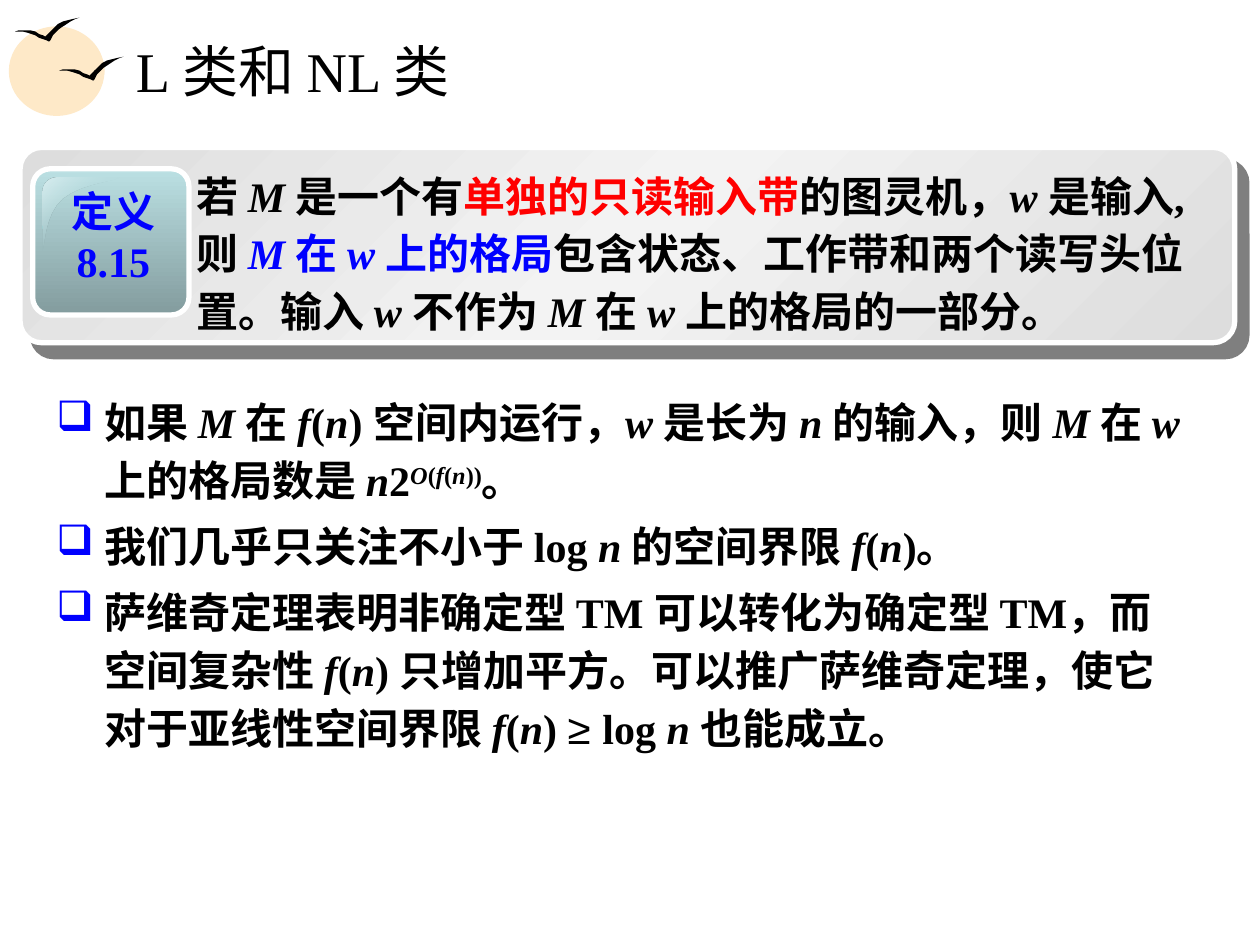
"""Build a slide defining Turing machine configurations for the classes L and NL."""
from dataclasses import dataclass

from lxml import etree
from pptx import Presentation
from pptx.dml.color import RGBColor
from pptx.enum.shapes import MSO_SHAPE
from pptx.enum.text import MSO_ANCHOR, PP_ALIGN
from pptx.oxml.ns import qn
from pptx.util import Inches, Pt

OVAL = MSO_SHAPE.OVAL
ROUNDED = MSO_SHAPE.ROUNDED_RECTANGLE
TOP, MIDDLE = MSO_ANCHOR.TOP, MSO_ANCHOR.MIDDLE
LEFT, CENTER = PP_ALIGN.LEFT, PP_ALIGN.CENTER


@dataclass(frozen=True)
class Theme:
    ink: str = "000000"
    red: str = "FF0000"
    blue: str = "0000FF"
    white: str = "FFFFFF"
    sun: str = "FEE9C8"
    panel_edge: str = "DDDDDD"
    panel_middle: str = "F3F3F3"
    badge_top: str = "BBE0E3"
    badge_bottom: str = "839C9E"
    shine: str = "DAEEF0"
    serif: str = "Times New Roman"
    sans: str = "Arial"
    title_size: int = 32
    body_size: int = 24


THEME = Theme()


def fill_gradient(shape, angle, stops):
    shape.fill.gradient()
    shape.fill.gradient_angle = 360 - angle
    stop_list = shape._element.spPr.find(f".//{qn('a:gsLst')}")
    for old_stop in list(stop_list):
        stop_list.remove(old_stop)
    for position, color, alpha in stops:
        stop = etree.SubElement(stop_list, qn("a:gs"), pos=str(position * 1000))
        tint = etree.SubElement(stop, qn("a:srgbClr"), val=color)
        if alpha < 100:
            etree.SubElement(tint, qn("a:alpha"), val=str(alpha * 1000))


def write_passages(paragraph, passages, size, color, bold):
    paragraph.font.name = THEME.serif
    paragraph.font.size = Pt(size)
    paragraph.font.bold = bold
    paragraph.font.color.rgb = RGBColor.from_string(color)
    for style, marked_text in passages:
        for index, piece in enumerate(marked_text.split("*")):
            if not piece:
                continue
            run = paragraph.add_run()
            run.text = piece
            if index % 2:
                run.font.italic = True
            if style in ("red", "blue"):
                run.font.color.rgb = RGBColor.from_string(getattr(THEME, style))
            elif style == "superscript":
                run.font._element.set("baseline", "30000")
            elif style == "symbol":
                run.font.name = THEME.sans
                run.font.bold = False


prs = Presentation()
prs.slide_width, prs.slide_height = Inches(10), Inches(7.5)
slide = prs.slides.add_slide(prs.slide_layouts[6])
shapes = slide.shapes

for left, top, width, height in [(0.07, 0.21, 0.76, 0.71), (0.2, 0.28, 0.63, 0.55)]:
    sun = shapes.add_shape(OVAL, Inches(left), Inches(top), Inches(width), Inches(height))
    sun.shadow.inherit = False
    sun.fill.solid()
    sun.fill.fore_color.rgb = RGBColor.from_string(THEME.sun)
    sun.line.fill.background()

gull_outline = [
    (0, 11), (3, 10), (6, 10), (9, 10), (12, 10), (16, 11), (19, 13), (22, 14),
    (24, 15), (26, 13), (28, 11), (31, 8), (34, 5), (38, 3), (42, 2), (46, 1),
    (51, 0), (48, 1), (44, 3), (41, 5), (38, 7), (35, 9), (32, 12), (30, 14),
    (28, 18), (27, 19), (25, 18), (22, 17), (19, 16), (16, 14), (13, 13),
    (10, 12), (6, 11), (3, 11),
]
for left, top in [(0.47, 0.45), (0.12, 0.14)]:
    points = [(Inches(left + x / 100), Inches(top + y / 100)) for x, y in gull_outline]
    builder = shapes.build_freeform(*points[0])
    builder.add_line_segments(points[1:])
    gull = builder.convert_to_shape()
    gull.shadow.inherit = False
    gull.fill.solid()
    gull.fill.fore_color.rgb = RGBColor.from_string(THEME.ink)
    gull.line.fill.background()

panel_stops = [(0, THEME.panel_edge, 100), (50, THEME.panel_middle, 100),
               (100, THEME.panel_edge, 100)]
badge_stops = [(0, THEME.badge_top, 100), (100, THEME.badge_bottom, 100)]
cards = [
    (0.16, 1.17, 9.64, 1.55, 0.11, 45, panel_stops, True),
    (0.26, 1.34, 1.24, 1.16, 0.12, 90, badge_stops, False),
]
for left, top, width, height, rounding, angle, stops, raised in cards:
    card = shapes.add_shape(ROUNDED, Inches(left), Inches(top), Inches(width), Inches(height))
    card.adjustments[0] = rounding
    fill_gradient(card, angle, stops)
    card.line.color.rgb = RGBColor.from_string(THEME.white)
    card.line.width = Pt(3)
    card.shadow.inherit = False
    if raised:
        effects = card._element.spPr.find(qn("a:effectLst"))
        shadow = etree.SubElement(effects, qn("a:outerShdw"), blurRad="0",
                                  dist=str(Pt(10.6)), dir=str(49 * 60000),
                                  algn="ctr", rotWithShape="0")
        shade = etree.SubElement(shadow, qn("a:srgbClr"), val=THEME.ink)
        etree.SubElement(shade, qn("a:alpha"), val="50000")

shine_curves = [
    [(0.46, 1.41), (0.39, 1.41), (0.34, 1.46), (0.34, 1.53)],
    [(0.34, 1.99), (0.36, 1.99), (0.35, 1.71), (0.5, 1.58)],
    [(0.5, 1.58), (0.66, 1.45), (0.95, 1.44), (0.95, 1.41)],
]
shine_points = []
for curve in shine_curves:
    for step in range(9):
        t = step / 8
        weights = [(1 - t) ** 3, 3 * t * (1 - t) ** 2, 3 * t ** 2 * (1 - t), t ** 3]
        shine_points.append(tuple(
            Inches(sum(w * point[axis] for w, point in zip(weights, curve)))
            for axis in (0, 1)))
builder = shapes.build_freeform(*shine_points[0])
builder.add_line_segments(shine_points[1:])
shine = builder.convert_to_shape()
shine.shadow.inherit = False
shine.line.fill.background()
fill_gradient(shine, 45, [(0, THEME.shine, 100), (50, THEME.badge_top, 0),
                          (100, THEME.shine, 100)])

title = [[("", "L 类和 NL 类")]]
label = [[("", "定义8.15")]]
definition = [[
    ("", "若 *M *是一个有"), ("red", "单独的只读输入带"),
    ("", "的图灵机，*w *是输入,则 "), ("blue", "*M *在 *w *上的格局"),
    ("", "包含状态、工作带和两个读写头位置。输入 *w *不作为 *M *在 *w *上的格局的一部分。"),
]]
remarks = [
    [("", "如果 *M *在 *f*(*n*) 空间内运行，*w *是长为 *n *的输入，则 *M *在 *w *上的格局数是 *n*2"),
     ("superscript", "*O*(*f*(*n*))"), ("", "。")],
    [("", "我们几乎只关注不小于 log *n *的空间界限 *f*(*n*)。")],
    [("", "萨维奇定理表明非确定型 TM 可以转化为确定型 TM，而空间复杂性 *f*(*n*) "
          "只增加平方。可以推广萨维奇定理，使它对于亚线性空间界限 *f*(*n*) "),
     ("symbol", "≥ "), ("", "log *n *也能成立。")],
]
texts = [
    (title, 0.98, 0.21, 8.53, 0.69, THEME.title_size, THEME.ink, False, MIDDLE, LEFT),
    (label, 0.43, 1.42, 0.94, 0.9, THEME.body_size, THEME.blue, True, TOP, CENTER),
    (definition, 1.46, 1.24, 8.27, 1.48, THEME.body_size, THEME.ink, True, TOP, LEFT),
    (remarks, 0.35, 3.04, 9.13, 2.99, THEME.body_size, THEME.ink, True, TOP, LEFT),
]
for content, left, top, width, height, size, color, bold, anchor, alignment in texts:
    frame = shapes.add_textbox(Inches(left), Inches(top), Inches(width), Inches(height)).text_frame
    frame.word_wrap = True
    frame.vertical_anchor = anchor
    for index, passages in enumerate(content):
        paragraph = frame.add_paragraph() if index else frame.paragraphs[0]
        paragraph.alignment = alignment
        if content in (definition, remarks):
            paragraph.line_spacing = 1.15
            paragraph.space_before = Pt(4.5)
        if content is remarks:
            properties = paragraph._p.get_or_add_pPr()
            properties.set("marL", str(Inches(0.38)))
            properties.set("indent", str(-Inches(0.38)))
            bullet_color = etree.SubElement(properties, qn("a:buClr"))
            etree.SubElement(bullet_color, qn("a:srgbClr"), val=THEME.blue)
            etree.SubElement(properties, qn("a:buChar"), char="❑")
        write_passages(paragraph, passages, size, color, bold)

prs.save("out.pptx")
